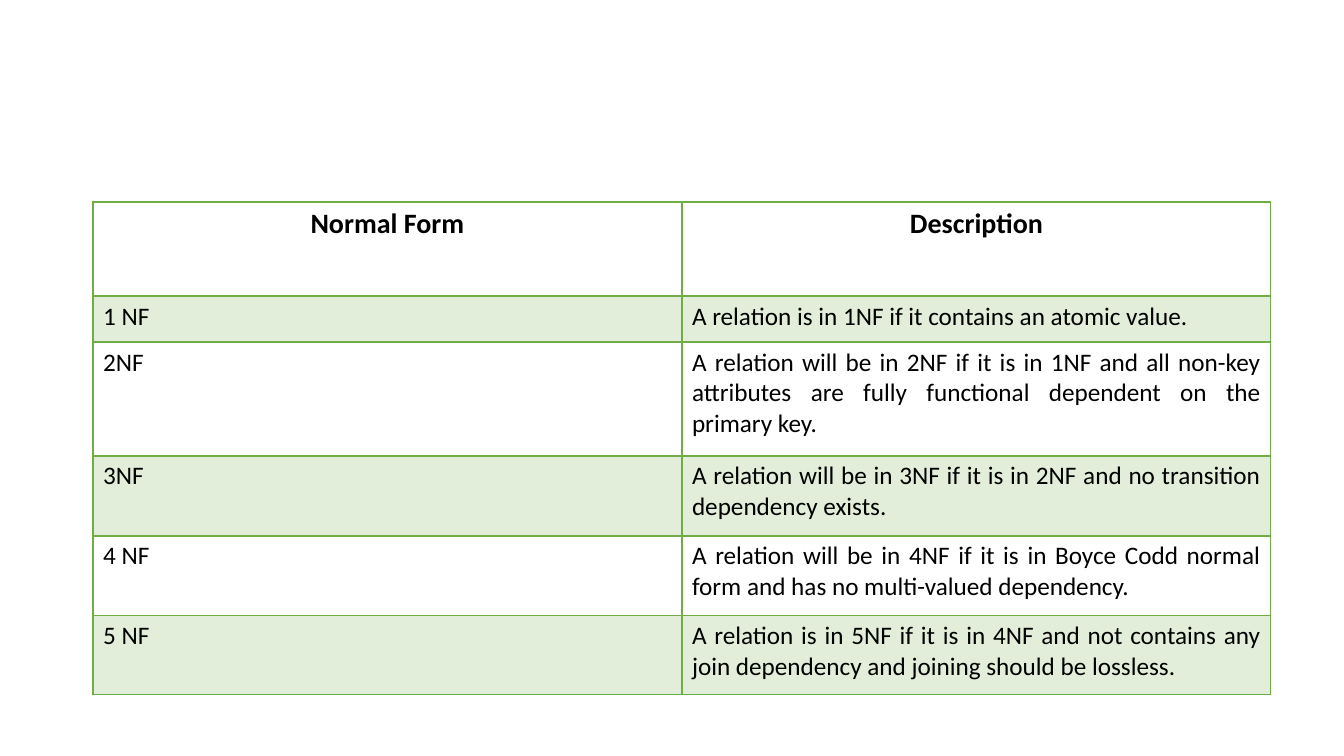
"""Build a slide with a table that describes the database normal forms."""
import lxml.etree
import pptx
import pptx.dml.color
import pptx.enum.text
import pptx.oxml.ns
import pptx.util

HEADINGS = ("Normal Form", "Description")
NORMAL_FORMS = [
    ("1 NF", "A relation is in 1NF if it contains an atomic value."),
    ("2NF", "A relation will be in 2NF if it is in 1NF and all non-key attributes "
            "are fully functional dependent on the primary key."),
    ("3NF", "A relation will be in 3NF if it is in 2NF and no transition dependency exists."),
    ("4 NF", "A relation will be in 4NF if it is in Boyce Codd normal form "
             "and has no multi-valued dependency."),
    ("5 NF", "A relation is in 5NF if it is in 4NF and not contains any join dependency "
             "and joining should be lossless."),
]
ROW_HEIGHTS = (94, 46, 114, 80, 80, 79)
COLUMN_WIDTH = 589
LEFT, TOP = 93, 202
SLIDE_WIDTH, SLIDE_HEIGHT = 1344, 756
GREEN, BLACK = "70AD47", "000000"
BAND_OPACITY = 20
FONT = "Calibri"


def px(length):
    return pptx.util.Emu(round(length * 914400 / 100.8))


def color(value):
    return pptx.dml.color.RGBColor.from_string(value)


def add_child(parent, tag, **attributes):
    return lxml.etree.SubElement(parent, pptx.oxml.ns.qn(tag), attributes)


def set_borders(cell, bottom_width):
    properties = cell._tc.get_or_add_tcPr()
    for side, width in (("L", 1), ("R", 1), ("T", 1), ("B", bottom_width)):
        line = add_child(properties, f"a:ln{side}", w=str(pptx.util.Pt(width)))
        add_child(add_child(line, "a:solidFill"), "a:srgbClr", val=GREEN)


def set_fill(cell, banded):
    if not banded:
        cell.fill.background()
        return
    cell.fill.solid()
    cell.fill.fore_color.rgb = color(GREEN)
    tint = cell._tc.tcPr.find(".//" + pptx.oxml.ns.qn("a:solidFill") + "[last()]")
    band = cell._tc.tcPr.find(pptx.oxml.ns.qn("a:solidFill"))
    add_child(band[0] if band is not None else tint[0], "a:alpha", val=str(BAND_OPACITY * 1000))


def set_text(cell, text, heading):
    cell.text_frame.text = text
    para = cell.text_frame.paragraphs[0]
    align = pptx.enum.text.PP_ALIGN
    para.alignment = align.CENTER if heading else align.JUSTIFY
    font = para.runs[0].font
    font.name = FONT
    font.size = pptx.util.Pt(20 if heading else 18)
    font.bold = heading
    font.color.rgb = color(BLACK)


def main():
    deck = pptx.Presentation()
    deck.slide_width, deck.slide_height = px(SLIDE_WIDTH), px(SLIDE_HEIGHT)
    page = deck.slides.add_slide(deck.slide_layouts[6])
    rows = [HEADINGS, *NORMAL_FORMS]
    table = page.shapes.add_table(
        len(rows), len(HEADINGS), px(LEFT), px(TOP),
        px(COLUMN_WIDTH * len(HEADINGS)), px(sum(ROW_HEIGHTS))).table
    table.first_row = table.horz_banding = False
    for column in table.columns:
        column.width = px(COLUMN_WIDTH)
    for row_index, (texts, height) in enumerate(zip(rows, ROW_HEIGHTS)):
        table.rows[row_index].height = px(height)
        heading = row_index == 0
        for column_index, text in enumerate(texts):
            cell = table.cell(row_index, column_index)
            set_borders(cell, 2 if heading else 1)
            set_fill(cell, row_index % 2 == 1)
            set_text(cell, text, heading)
    deck.save("out.pptx")


if __name__ == "__main__":
    main()
